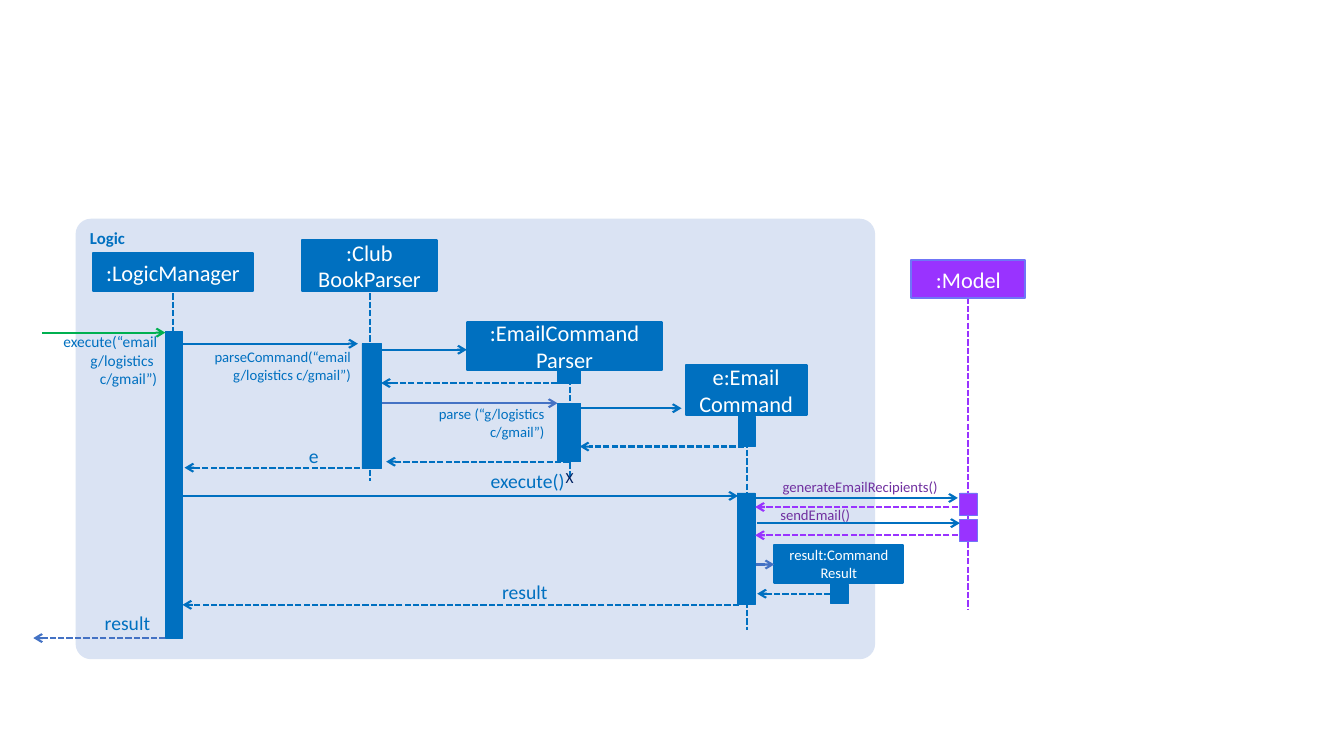
"""Build the sequence diagram slide for the email command."""
from lxml import etree
from pptx import Presentation, util as u
from pptx.dml.color import RGBColor
from pptx.enum import dml, shapes, text
from pptx.oxml.ns import qn

PX = 9144
FONT = "Calibri"
BLUE = RGBColor(0x00, 0x70, 0xC0)
ACCENT = RGBColor(0x44, 0x72, 0xC4)
GREEN = RGBColor(0x00, 0xB0, 0x50)
VIOLET = RGBColor(0x99, 0x33, 0xFF)
VIOLET_EDGE = RGBColor(0x6F, 0x75, 0xF7)
PURPLE = RGBColor(0x70, 0x30, 0xA0)
NAVY = RGBColor(0x00, 0x20, 0x60)
PALE = RGBColor(0xDA, 0xE3, 0xF3)
WHITE = RGBColor(0xFF, 0xFF, 0xFF)
LEFT, CENTER, RIGHT = text.PP_ALIGN.LEFT, text.PP_ALIGN.CENTER, text.PP_ALIGN.RIGHT

PANEL = (75, 217, 793, 437)

# x, top, bottom, colour
LIFELINES = [
    (172, 291, 575, BLUE),
    (367, 291, 477, BLUE),
    (565, 367, 475, BLUE),
    (741, 413, 625, BLUE),
    (960, 295, 605, VIOLET),
]
# left, top, width, height, fill, edge
ACTIVATIONS = [
    (164, 329, 17, 304, BLUE, BLUE),
    (359, 341, 19, 124, BLUE, BLUE),
    (553, 367, 23, 13, BLUE, BLUE),
    (553, 400, 23, 58, BLUE, BLUE),
    (732, 413, 17, 30, BLUE, BLUE),
    (731, 489, 18, 111, BLUE, BLUE),
    (824, 580, 17, 19, BLUE, BLUE),
    (952, 489, 17, 22, VIOLET, VIOLET_EDGE),
    (952, 515, 17, 22, VIOLET, VIOLET_EDGE),
]
# left, top, width, height, name, size, fill, edge
PARTICIPANTS = [
    (92, 251, 159, 38, ":LogicManager", 16, BLUE, BLUE),
    (300, 238, 133, 51, ":Club\nBookParser", 16, BLUE, BLUE),
    (463, 320, 194, 47, ":EmailCommand\nParser", 16, BLUE, BLUE),
    (680, 362, 120, 50, "e:Email\nCommand", 16, BLUE, BLUE),
    (768, 541, 128, 37, "result:Command Result", 10.5, BLUE, BLUE),
    (904, 258, 113, 38, ":Model", 16, VIOLET, VIOLET_EDGE),
]
# start x, end x, y, colour
CALLS = [
    (42, 164, 330, GREEN),
    (181, 355, 341, BLUE),
    (373, 463, 347, BLUE),
    (379, 553, 400, ACCENT),
    (575, 676, 405, BLUE),
    (181, 732, 492, BLUE),
    (749, 950, 494, BLUE),
    (751, 952, 519, BLUE),
    (750, 768, 560, ACCENT),
]
RETURNS = [
    (553, 378, 380, BLUE),
    (738, 575, 443, BLUE),
    (565, 383, 458, BLUE),
    (357, 183, 464, BLUE),
    (950, 749, 503, VIOLET),
    (950, 749, 531, VIOLET),
    (824, 751, 589, BLUE),
    (733, 181, 600, BLUE),
    (164, 33, 633, ACCENT),
]
# left, top, width, height, words, size, colour, alignment
LABELS = [
    (0, 330, 156, 56, "execute(“email g/logistics \nc/gmail”)", 11, BLUE, RIGHT),
    (192, 345, 156, 35, "parseCommand(“email g/logistics c/gmail”)", 10.5, BLUE, RIGHT),
    (384, 402, 156, 35, "parse (“g/logistics c/gmail”)", 10.5, BLUE, RIGHT),
    (292, 440, 24, 24, "e", 14, BLUE, RIGHT),
    (466, 465, 94, 24, "execute()", 14, BLUE, RIGHT),
    (555, 464, 20, 19, "X", 11, NAVY, CENTER),
    (774, 474, 156, 18, "generateEmailRecipients()", 10.5, PURPLE, RIGHT),
    (774, 502, 156, 18, "sendEmail()", 10.5, PURPLE, LEFT),
    (475, 575, 68, 24, "result", 14, BLUE, RIGHT),
    (66, 606, 83, 24, "result", 14, BLUE, RIGHT),
]


def write(tf, words, size, color, align, bold=False):
    tf.word_wrap = True
    for i, line in enumerate(words.split("\n")):
        p = tf.add_paragraph() if i else tf.paragraphs[0]
        p.alignment = align
        r = p.add_run()
        r.text = line
        r.font.name, r.font.size, r.font.bold = FONT, u.Pt(size), bold
        r.font.color.rgb = color


def add_box(s, box, fill, edge=None, weight=0.5, kind=shapes.MSO_SHAPE.RECTANGLE):
    sp = s.shapes.add_shape(kind, *(v * PX for v in box))
    sp.shadow.inherit = False
    sp.fill.solid()
    sp.fill.fore_color.rgb = fill
    if edge is None:
        sp.line.fill.background()
    else:
        sp.line.color.rgb = edge
        sp.line.width = u.Pt(weight)
    return sp


def add_line(s, ends, color, dashed, arrow=True):
    cn = s.shapes.add_connector(shapes.MSO_CONNECTOR.STRAIGHT, *(v * PX for v in ends))
    cn.line.color.rgb = color
    cn.line.width = u.Pt(1.5)
    if dashed:
        cn.line.dash_style = dml.MSO_LINE.SQUARE_DOT
    if arrow:
        etree.SubElement(cn.line._get_or_add_ln(), qn("a:tailEnd"), type="arrow")
    etree.SubElement(cn._element.spPr, qn("a:effectLst"))


def main():
    prs = Presentation()
    prs.slide_width, prs.slide_height = 1333 * PX, 750 * PX
    s = prs.slides.add_slide(prs.slide_layouts[6])

    panel = add_box(s, PANEL, PALE, kind=shapes.MSO_SHAPE.ROUNDED_RECTANGLE)
    panel.adjustments[0] = 0.035
    panel.text_frame.vertical_anchor = text.MSO_ANCHOR.TOP
    write(panel.text_frame, "Logic", 12, BLUE, LEFT, bold=True)

    for x, top, bottom, color in LIFELINES:
        add_line(s, (x, top, x, bottom), color, dashed=True, arrow=False)
    for *box, fill, edge in ACTIVATIONS:
        add_box(s, box, fill, edge)
    for *box, name, size, fill, edge in PARTICIPANTS:
        sp = add_box(s, box, fill, edge, 1.5)
        sp.text_frame.vertical_anchor = text.MSO_ANCHOR.MIDDLE
        write(sp.text_frame, name, size, WHITE, CENTER)
    for messages, dashed in ((CALLS, False), (RETURNS, True)):
        for start, end, y, color in messages:
            add_line(s, (start, y, end, y), color, dashed)
    for *box, words, size, color, align in LABELS:
        tf = s.shapes.add_textbox(*(v * PX for v in box)).text_frame
        tf.margin_left = tf.margin_right = tf.margin_top = tf.margin_bottom = 0
        write(tf, words, size, color, align)

    prs.save("out.pptx")


if __name__ == "__main__":
    main()
